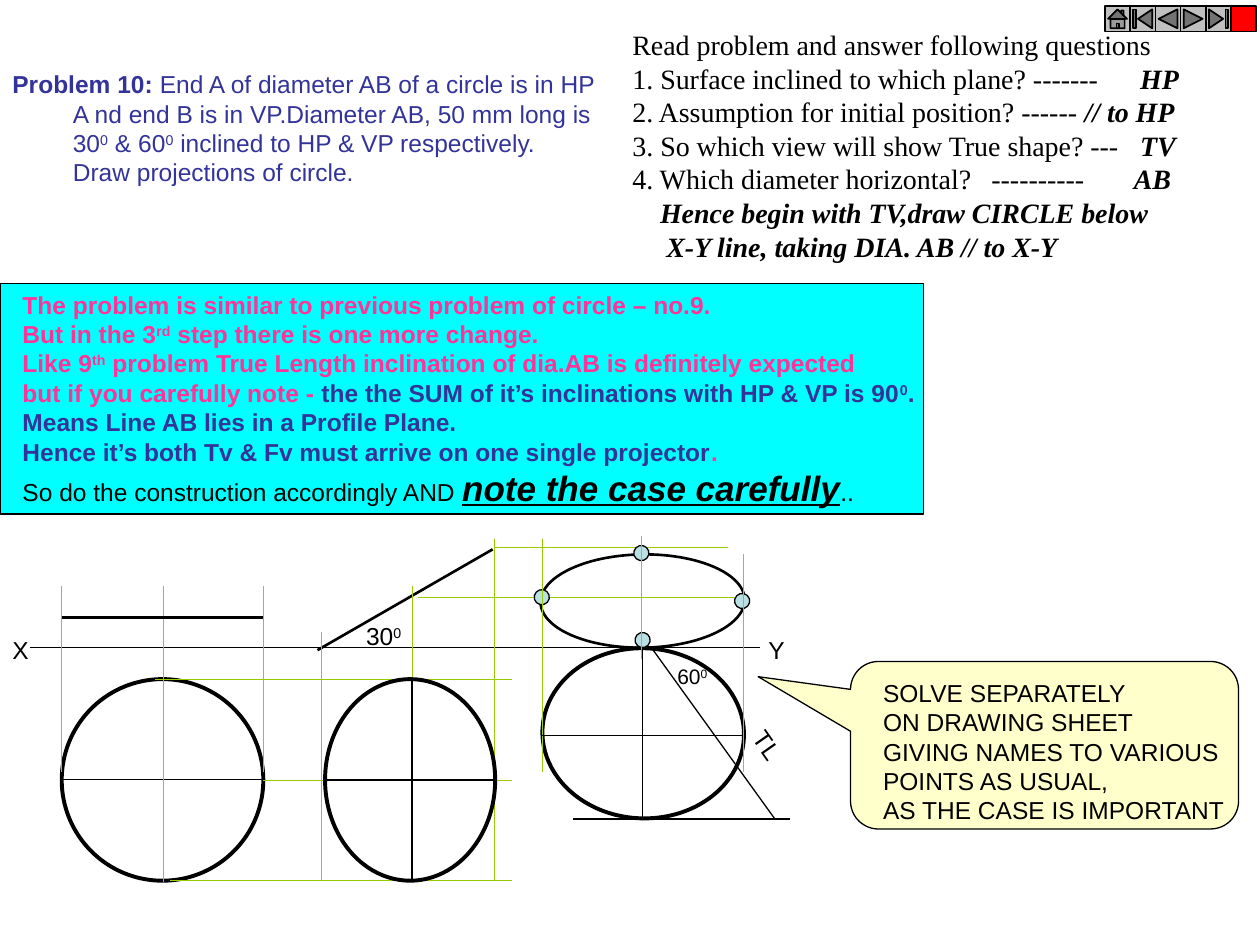
"""Build the slide on projecting a circle whose diameter AB lies in a profile plane."""
from lxml.etree import SubElement
from pptx import Presentation
from pptx.dml.color import RGBColor
from pptx.enum.shapes import MSO_CONNECTOR as Connector, MSO_SHAPE as Shape
from pptx.enum.text import MSO_AUTO_SIZE as AutoSize, PP_ALIGN as Align
from pptx.oxml.ns import qn
from pptx.util import Inches, Pt

BLACK, GREEN, NAVY, PINK = "000000", "99CC00", "333399", "FF3399"


def colour(value):
    """Turn a hex string into a colour."""
    return RGBColor.from_string(value)


def piece(text, **style):
    """Pair a stretch of text with its format."""
    return text, style


def line_of(*pieces, indent=0, tabs=()):
    """Describe one paragraph with its left indent and tab stops."""
    return pieces, indent, tabs


class Sheet:
    """Hold the text style and the current slide."""

    def __init__(self, slide, font="Arial", size=14):
        """Remember the slide and the default font."""
        self.shapes = slide.shapes
        self.font, self.size = font, size

    def shape(self, kind, left, top, width, height, fill=None, weight=0.75, turn=0):
        """Add a black-outlined preset shape."""
        item = self.shapes.add_shape(kind, Inches(left), Inches(top), Inches(width), Inches(height))
        item.shadow.inherit = False
        item.rotation = turn
        if fill:
            item.fill.solid()
            item.fill.fore_color.rgb = colour(fill)
        else:
            item.fill.background()
        item.line.color.rgb = colour(BLACK)
        item.line.width = Pt(weight)
        return item

    def lines(self, shade, weight, *segments):
        """Add straight lines that share a colour and weight."""
        for ends in segments:
            item = self.shapes.add_connector(Connector.STRAIGHT, *map(Inches, ends))
            item.line.color.rgb = colour(shade)
            item.line.width = Pt(weight)
            SubElement(item._element.spPr, qn("a:effectLst"))

    def text(self, left, top, width, height, *paragraphs, wrap=False, align=Align.LEFT, turn=0, **base):
        """Add a text box made of formatted paragraphs."""
        box = self.shapes.add_textbox(Inches(left), Inches(top), Inches(width), Inches(height))
        box.rotation = turn
        frame = box.text_frame
        frame.word_wrap = wrap
        frame.auto_size = AutoSize.SHAPE_TO_FIT_TEXT
        for number, (pieces, indent, tabs) in enumerate(paragraphs):
            paragraph = frame.add_paragraph() if number else frame.paragraphs[0]
            paragraph.alignment = align
            props = paragraph._p.get_or_add_pPr()
            props.set("marL", str(Inches(indent)))
            if tabs:
                stops = SubElement(props, qn("a:tabLst"))
                for stop in tabs:
                    SubElement(stops, qn("a:tab"), pos=str(Inches(stop)), algn="l")
            for words, style in pieces:
                self.run(paragraph, words, **{**base, **style})

    def run(self, paragraph, text, font=None, size=None, shade=BLACK, bold=False,
            italic=False, underline=False, raised=False):
        """Add one run of formatted text."""
        run = paragraph.add_run()
        run.text = text
        run.font.name = font or self.font
        run.font.size = Pt(size or self.size)
        run.font.color.rgb = colour(shade)
        run.font.bold, run.font.italic, run.font.underline = bold, italic, underline
        if raised:
            run._r.get_or_add_rPr().set("baseline", "30000")


def add_problem(sheet):
    """Write the problem and the questions that lead into it."""
    zero = piece("0", raised=True)
    sheet.text(
        0, 0.5, 4.88, 1.03,
        line_of(piece("Problem 10: ", bold=True), piece("End A of diameter AB of a circle is in HP")),
        line_of(piece("A nd end B is in VP.Diameter AB, 50 mm long is"), indent=0.48),
        line_of(piece("30"), zero, piece(" & 60"), zero,
                piece(" inclined to HP & VP respectively."), indent=0.48),
        line_of(piece("Draw projections of circle."), indent=0.48),
        shade=NAVY)

    def answer(text):
        """Format an answer."""
        return piece(text, bold=True, italic=True)

    sheet.text(
        4.92, 0.17, 4.75, 1.97,
        line_of(piece("Read problem and answer following questions")),
        line_of(piece("1. Surface inclined to which plane? -------\t"), answer("HP"), tabs=[4.03]),
        line_of(piece("2. Assumption for initial position? ------ "), answer("// to HP")),
        line_of(piece("3. So which view will show True shape? ---\t"), answer("TV"), tabs=[4.03]),
        line_of(piece("4. Which diameter horizontal?\t----------\t"), answer("AB"), tabs=[2.85, 3.98]),
        line_of(answer("Hence begin with TV,draw CIRCLE below"), indent=0.22),
        line_of(answer("X-Y line, taking DIA. AB // to X-Y"), indent=0.27),
        wrap=True, font="Times New Roman", size=16)


def add_explanation(sheet):
    """Write the highlighted explanation and the callout."""
    sheet.shape(Shape.RECTANGLE, 0, 2.25, 7.33, 1.83, "00FFFF")
    sheet.text(
        0.08, 2.25, 7.31, 1.83,
        line_of(piece("The problem is similar to previous problem of circle – no.9.")),
        line_of(piece("But in the 3"), piece("rd", raised=True), piece(" step there is one more change.")),
        line_of(piece("Like 9"), piece("th", raised=True),
                piece(" problem True Length inclination of dia.AB is definitely expected")),
        line_of(piece("but if you carefully note - "),
                piece("the the SUM of it’s inclinations with HP & VP is 90", shade=NAVY),
                piece("0", shade=NAVY, raised=True), piece(".", shade=NAVY)),
        line_of(piece("Means Line AB lies in a Profile Plane.", shade=NAVY)),
        line_of(piece("Hence it’s both Tv & Fv must arrive on one single projector", shade=NAVY), piece(".")),
        line_of(piece("So do the construction accordingly AND ", shade=BLACK, bold=False),
                piece("note the case carefully", shade=BLACK, size=20, italic=True, underline=True),
                piece("..", shade=BLACK, bold=False)),
        shade=PINK, bold=True)

    callout = sheet.shape(Shape.ROUNDED_RECTANGULAR_CALLOUT, 6.75, 5.25, 3.08, 1.33, "FFFFCC")
    for index, value in enumerate((-0.738, -0.409, 0.167)):
        callout.adjustments[index] = value
    advice = ("SOLVE SEPARATELY", "ON DRAWING SHEET", "GIVING NAMES TO VARIOUS",
              "POINTS AS USUAL,", "AS THE CASE IS IMPORTANT")
    sheet.text(6.91, 5.33, 2.98, 1.26, *(line_of(piece(words)) for words in advice))


def add_projections(sheet):
    """Draw the three steps of the projection."""
    sheet.shape(Shape.OVAL, 4.29, 4.4, 1.62, 0.74, "FFFFFF", 1.5, 359.2)
    sheet.shape(Shape.OVAL, 0.49, 5.39, 1.6, 1.6, weight=2.25)
    sheet.lines(BLACK, 0.5, (0.49, 6.19, 2.09, 6.19))
    sheet.lines(BLACK, 0.75, (0.24, 5.14, 6.03, 5.14))
    sheet.lines(GREEN, 0.5, (1.3, 4.65, 1.3, 7), *((x, 6.13, x, 4.65) for x in (0.49, 2.09)))
    sheet.lines(BLACK, 1.5, (0.49, 4.9, 2.09, 4.9), (2.52, 5.16, 3.91, 4.36))
    sheet.lines(GREEN, 0.25,
                *((x, top, x, 6.99) for x, top in ((3.92, 4.28), (3.27, 4.65), (2.55, 5.02))),
                *((left, y, 4.06, y) for left, y in ((1.23, 5.39), (2.09, 6.19), (1.35, 6.99))))
    sheet.shape(Shape.OVAL, 2.58, 5.39, 1.35, 1.6, weight=2.25)
    sheet.lines(BLACK, 0.75, (3.27, 5.39, 3.27, 6.99), (2.58, 6.19, 3.93, 6.19))

    sheet.shape(Shape.OVAL, 4.43, 5.02, 1.35, 1.6, "FFFFFF", 2.25, 272.1)
    sheet.lines(GREEN, 0.25, (3.93, 4.34, 5.78, 4.34), (3.32, 4.74, 5.9, 4.74))
    for left, top in ((4.24, 4.68), (5.04, 5.02), (5.83, 4.71), (5.03, 4.33)):
        sheet.shape(Shape.OVAL, left, top, 0.12, 0.12, "BBE0E3", turn=12.2)
    sheet.lines(GREEN, 0.25, (4.3, 6.13, 4.3, 4.28), (5.9, 6.13, 5.9, 4.4))
    sheet.lines(BLACK, 0.75, (4.3, 5.84, 5.9, 5.84), (5.1, 5.14, 5.1, 6.5),
                (5.17, 5.14, 6.15, 6.5), (6.27, 6.5, 4.55, 6.5))
    sheet.lines(GREEN, 0.75, (5.09, 4.25, 5.09, 5.23))

    sheet.text(5.88, 5.75, 0.43, 0.33, line_of(piece("TL")), turn=55)
    for left, end in ((0, "X"), (6, "Y")):
        sheet.text(left, 4.99, 0.33, 0.33, line_of(piece(end)))
    for left, top, width, height, angle, size in ((2.8, 4.88, 0.49, 0.33, "30", 14),
                                                  (5.27, 5.22, 0.45, 0.3, "60", 12)):
        sheet.text(left, top, width, height, line_of(piece(angle), piece("0", raised=True)),
                   align=Align.CENTER, size=size)


def add_navigation(sheet):
    """Add the row of navigation buttons."""
    buttons = (Shape.ACTION_BUTTON_HOME, Shape.ACTION_BUTTON_BEGINNING,
               Shape.ACTION_BUTTON_BACK_OR_PREVIOUS, Shape.ACTION_BUTTON_FORWARD_OR_NEXT,
               Shape.ACTION_BUTTON_END, Shape.ACTION_BUTTON_CUSTOM)
    for place, button in enumerate(buttons):
        fill = "FF0000" if button == Shape.ACTION_BUTTON_CUSTOM else "C0C0C0"
        sheet.shape(button, 8.77 + 0.2 * place, 0.05, 0.2, 0.2, fill, 1)


def main():
    """Build and save the slide."""
    deck = Presentation()
    deck.slide_width, deck.slide_height = Inches(10), Inches(7.5)
    sheet = Sheet(deck.slides.add_slide(deck.slide_layouts[6]))
    add_problem(sheet)
    add_explanation(sheet)
    add_projections(sheet)
    add_navigation(sheet)
    deck.save("out.pptx")


if __name__ == "__main__":
    main()
